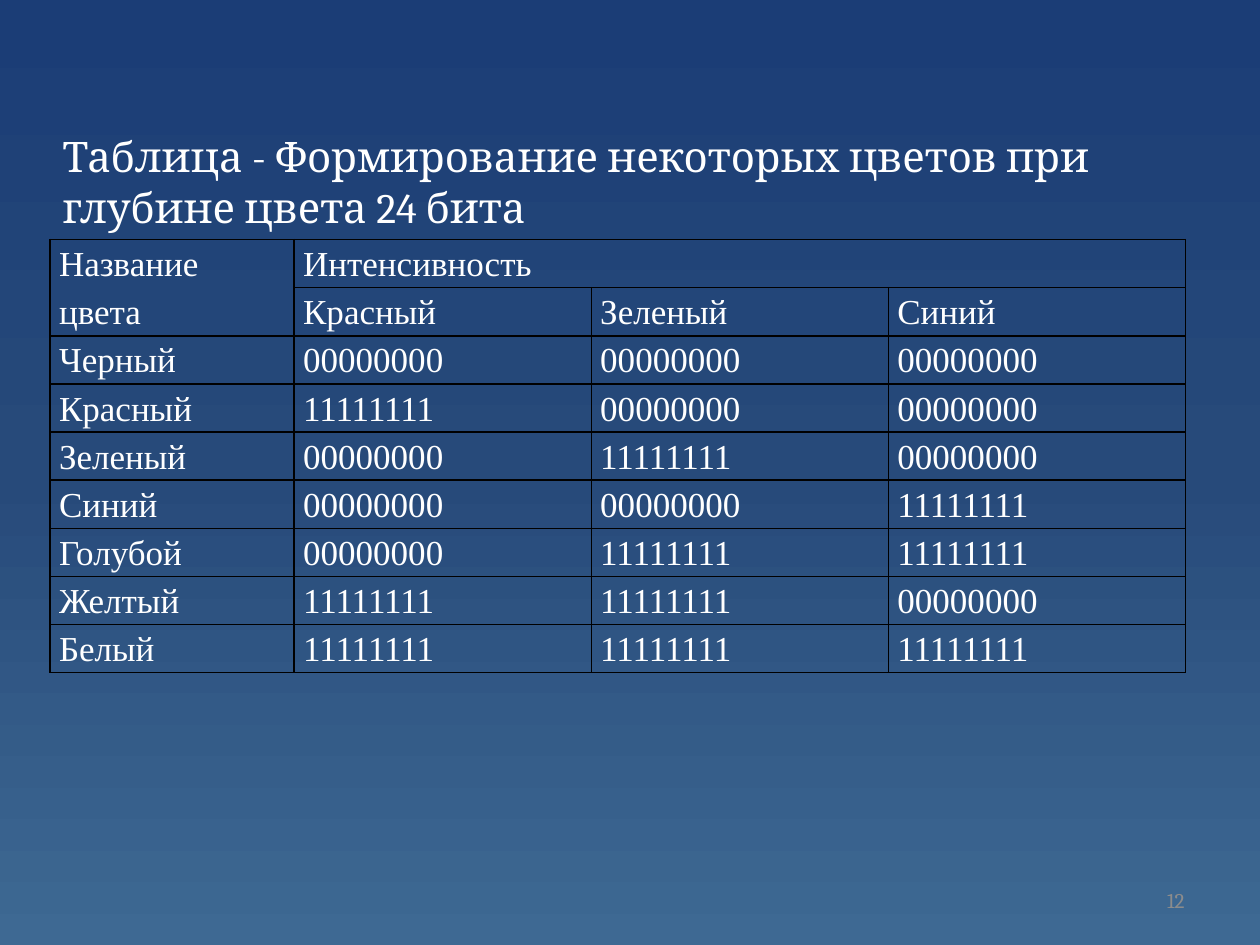
"""Build a slide with a table of 24-bit colour codes."""
from copy import deepcopy
from dataclasses import dataclass

from lxml.etree import SubElement
from pptx import Presentation
from pptx.dml.color import RGBColor as RGB
from pptx.enum.text import MSO_ANCHOR as ANCHOR, MSO_AUTO_SIZE as AUTO, PP_ALIGN as ALIGN
from pptx.oxml.ns import qn
from pptx.util import Cm, Pt

COLORS = {
    "bottom": "3E6993",
    "middle": "274A7A",
    "top": "1B3D76",
    "text": "FFFFFF",
    "border": "000000",
    "number": "8C8C8C",
}
ZERO, FULL = "00000000", "11111111"
WIDTHS = (4.92, 5.99, 5.99, 5.99)
ROW_HEIGHT = 0.97


@dataclass(frozen=True)
class Style:
    font: str
    size: int
    color: str
    align: ALIGN
    spacing: float = 1.0


@dataclass(frozen=True)
class ColorRow:
    name: str
    red: str
    green: str
    blue: str

    def texts(self) -> tuple:
        return self.name, self.red, self.green, self.blue


TITLE = Style("Cambria", 24, "text", ALIGN.LEFT)
CELL = Style("Times New Roman", 20, "text", ALIGN.JUSTIFY, 1.15)
NUMBER = Style("Cambria", 12, "number", ALIGN.RIGHT)

ROWS = (
    ColorRow("Название", "Интенсивность", "", ""),
    ColorRow("цвета", "Красный", "Зеленый", "Синий"),
    ColorRow("Черный", ZERO, ZERO, ZERO),
    ColorRow("Красный", FULL, ZERO, ZERO),
    ColorRow("Зеленый", ZERO, FULL, ZERO),
    ColorRow("Синий", ZERO, ZERO, FULL),
    ColorRow("Голубой", ZERO, FULL, FULL),
    ColorRow("Желтый", FULL, FULL, ZERO),
    ColorRow("Белый", FULL, FULL, FULL),
)


def rgb(name: str) -> RGB:
    return RGB.from_string(COLORS[name])


def write(tf, text: str, style: Style) -> None:
    tf.text = text
    p = tf.paragraphs[0]
    p.alignment = style.align
    p.line_spacing = style.spacing
    p.space_before = Pt(0)
    p.font.name = style.font
    p.font.size = Pt(style.size)
    p.font.color.rgb = rgb(style.color)


def paint_background(slide) -> None:
    fill = slide.background.fill
    fill.gradient()
    fill.gradient_angle = 90
    stops = slide.element.find(".//" + qn("a:gsLst"))
    stops.insert(1, deepcopy(stops[0]))
    for stop, pos, name in zip(fill.gradient_stops, (0, 0.5, 1), ("bottom", "middle", "top")):
        stop.position = pos
        stop.color.rgb = rgb(name)


def add_borders(cell, hidden: str) -> None:
    pr = cell._tc.get_or_add_tcPr()
    for i, side in enumerate("LRTB"):
        ln = SubElement(pr, qn(f"a:ln{side}"), w=str(Pt(1)))
        pr.insert(i, ln)
        if side == hidden:
            SubElement(ln, qn("a:noFill"))
        else:
            fill = SubElement(ln, qn("a:solidFill"))
            SubElement(fill, qn("a:srgbClr"), val=COLORS["border"])


def add_color_table(slide) -> None:
    table = slide.shapes.add_table(
        len(ROWS), len(WIDTHS), Cm(1.01), Cm(4.83),
        Cm(sum(WIDTHS)), Cm(ROW_HEIGHT * len(ROWS))).table
    table.first_row = table.horz_banding = False
    for column, width in zip(table.columns, WIDTHS):
        column.width = Cm(width)
    for i, row in enumerate(ROWS):
        table.rows[i].height = Cm(ROW_HEIGHT)
        for j, text in enumerate(row.texts()):
            cell = table.cell(i, j)
            write(cell.text_frame, text, CELL)
            cell.margin_left = cell.margin_right = Cm(0.18)
            cell.margin_top = cell.margin_bottom = 0
            cell.fill.background()
            add_borders(cell, {(0, 0): "B", (1, 0): "T"}.get((i, j), ""))
    table.cell(0, 1).merge(table.cell(0, 3))


def add_title(slide, text: str) -> None:
    sp = slide.shapes.title
    sp.left, sp.top, sp.width, sp.height = Cm(1.01), Cm(2.51), Cm(24.4), Cm(3.25)
    tf = sp.text_frame
    tf.word_wrap = True
    tf.auto_size = AUTO.NONE
    tf.vertical_anchor = ANCHOR.TOP
    write(tf, text, TITLE)


def add_number(slide, text: str) -> None:
    tf = slide.shapes.add_textbox(Cm(18.2), Cm(17.65), Cm(5.93), Cm(1.01)).text_frame
    tf.word_wrap = True
    tf.vertical_anchor = ANCHOR.MIDDLE
    write(tf, text, NUMBER)


def main() -> None:
    prs = Presentation()
    prs.slide_width, prs.slide_height = Cm(25.4), Cm(19.05)
    slide = prs.slides.add_slide(prs.slide_layouts[5])
    paint_background(slide)
    add_title(slide, "Таблица - Формирование некоторых цветов при глубине цвета 24 бита")
    add_color_table(slide)
    add_number(slide, "12")
    prs.save("out.pptx")


if __name__ == "__main__":
    main()
